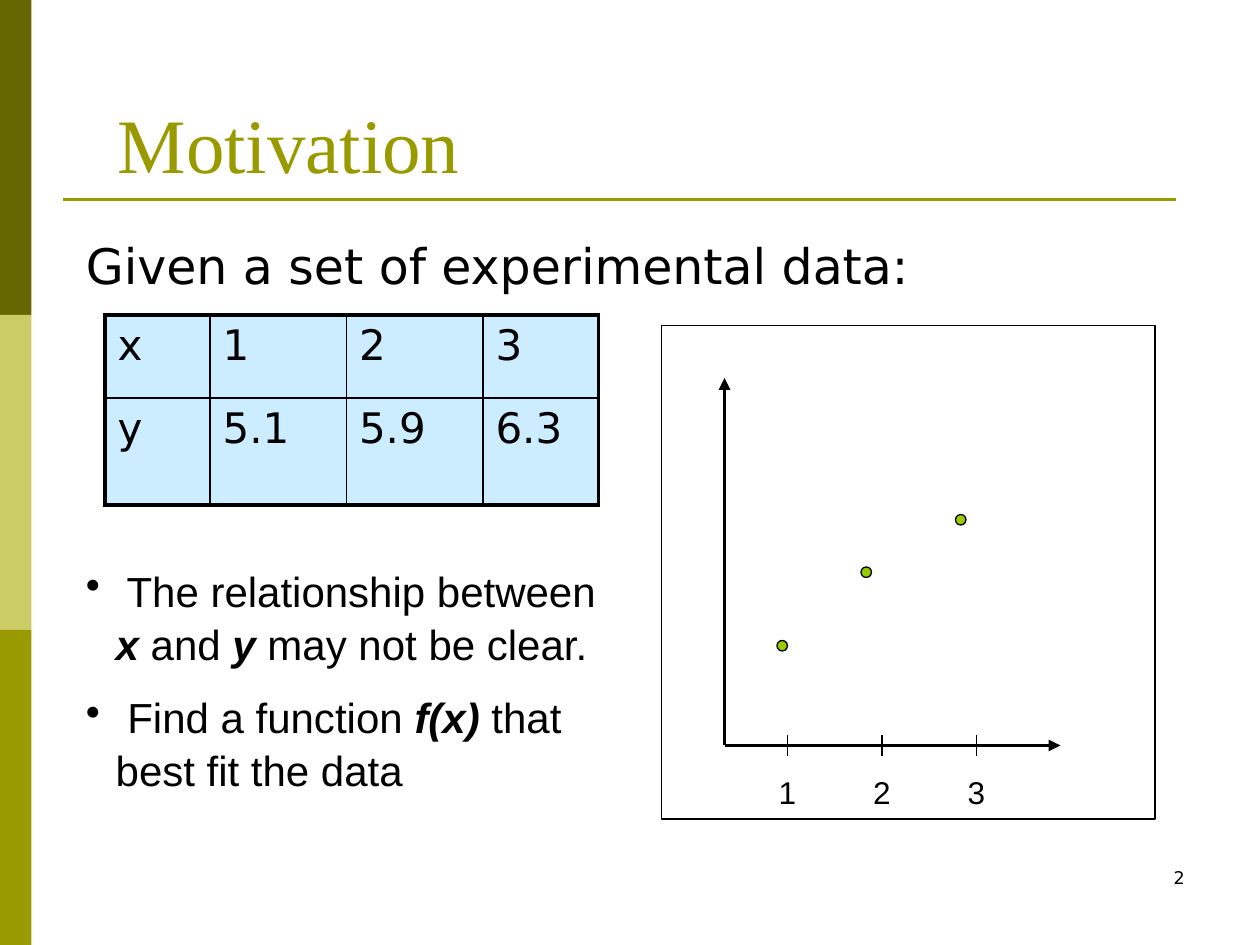
from dataclasses import dataclass

import pptx
import pptx.dml.color
import pptx.enum.shapes
import pptx.enum.text
import pptx.oxml
import pptx.oxml.ns
import pptx.util

Pt = pptx.util.Pt
ALIGN = pptx.enum.text.PP_ALIGN
ANCHOR = pptx.enum.text.MSO_ANCHOR
SHAPE = pptx.enum.shapes.MSO_SHAPE


@dataclass(frozen=True)
class Theme:
    ink: str = "000000"
    olive: str = "999900"
    dark_olive: str = "666600"
    pale_olive: str = "CCCC66"
    cell: str = "CCECFF"
    dot: str = "99CC00"
    title_font: str = "Times New Roman"
    body_font: str = "DejaVu Sans"
    note_font: str = "Arial"
    title_size: float = 44
    lead_size: float = 28
    text_size: float = 24
    label_size: float = 18
    number_size: float = 10
    thin: float = 0.75
    grid: float = 1
    rule: float = 1.5
    thick: float = 2.25


THEME = Theme()


def color(value):
    return pptx.dml.color.RGBColor.from_string(value)


def append_xml(parent, tag, **attributes):
    element = pptx.oxml.parse_xml(f"<a:{tag} {pptx.oxml.ns.nsdecls('a')}/>")
    for name, value in attributes.items():
        element.set(name, str(value))
    parent.append(element)
    return element


def format_paragraph(paragraph, font, size, ink=THEME.ink, align=ALIGN.LEFT):
    paragraph.font.name = font
    paragraph.font.size = Pt(size)
    paragraph.font.color.rgb = color(ink)
    paragraph.alignment = align


def add_text(slide, box, text, font, size, align=ALIGN.LEFT):
    shape = slide.shapes.add_textbox(*map(Pt, box))
    shape.text_frame.word_wrap = True
    paragraph = shape.text_frame.paragraphs[0]
    paragraph.text = text
    format_paragraph(paragraph, font, size, align=align)
    return shape


def add_box(slide, kind, box, fill=None, line=None):
    shape = slide.shapes.add_shape(kind, *map(Pt, box))
    shape.shadow.inherit = False
    if fill:
        shape.fill.solid()
        shape.fill.fore_color.rgb = color(fill)
    else:
        shape.fill.background()
    if line:
        shape.line.color.rgb = color(line)
        shape.line.width = Pt(THEME.thin)
    else:
        shape.line.fill.background()


def add_line(slide, start, end, width, ink=THEME.ink, arrow=False):
    connector = slide.shapes.add_connector(
        pptx.enum.shapes.MSO_CONNECTOR.STRAIGHT, *map(Pt, (*start, *end)))
    connector.line.color.rgb = color(ink)
    connector.line.width = Pt(width)
    if arrow:
        append_xml(connector.line._get_or_add_ln(), "tailEnd", type="triangle")
    append_xml(connector._element.spPr, "effectLst")


def add_sidebar(slide, box):
    left, top, width, height = box
    bands = (THEME.dark_olive, THEME.pale_olive, THEME.olive)
    band_height = height / len(bands)
    for index, fill in enumerate(bands):
        add_box(slide, SHAPE.RECTANGLE,
                (left, top + index * band_height, width, band_height), fill)


def set_title(slide, box, text):
    title = slide.shapes.title
    title.left, title.top, title.width, title.height = map(Pt, box)
    frame = title.text_frame
    frame.text = text
    frame.auto_size = pptx.enum.text.MSO_AUTO_SIZE.NONE
    frame.vertical_anchor = ANCHOR.BOTTOM
    format_paragraph(frame.paragraphs[0], THEME.title_font, THEME.title_size, THEME.olive)


def set_border(cell, side, width):
    line = append_xml(cell._tc.get_or_add_tcPr(), side, w=Pt(width))
    append_xml(append_xml(line, "solidFill"), "srgbClr", val=THEME.ink)


def add_data_table(slide, position, rows, column_widths, row_heights):
    size = (sum(column_widths), sum(row_heights))
    last_row, last_column = len(rows) - 1, len(column_widths) - 1
    table = slide.shapes.add_table(
        len(rows), len(column_widths), *map(Pt, (*position, *size))).table
    table.first_row = table.horz_banding = False
    for column, width in zip(table.columns, column_widths):
        column.width = Pt(width)
    for row, height in zip(table.rows, row_heights):
        row.height = Pt(height)
    for i, values in enumerate(rows):
        for j, value in enumerate(values):
            cell = table.cell(i, j)
            cell.text = value
            format_paragraph(cell.text_frame.paragraphs[0], THEME.body_font, THEME.text_size)
            outer = {"lnL": j == 0, "lnR": j == last_column,
                     "lnT": i == 0, "lnB": i == last_row}
            for side, is_outer in outer.items():
                set_border(cell, side, THEME.thick if is_outer else THEME.grid)
            cell.fill.solid()
            cell.fill.fore_color.rgb = color(THEME.cell)


def add_bullets(slide, box, items, indent=17):
    """Each item is a list of runs, of which every second one is bold italic."""
    frame = add_text(slide, box, "", THEME.note_font, THEME.text_size).text_frame
    for index, runs in enumerate(items):
        paragraph = frame.add_paragraph() if index else frame.paragraphs[0]
        format_paragraph(paragraph, THEME.note_font, THEME.text_size)
        paragraph.space_before = Pt(THEME.text_size / 2)
        paragraph.line_spacing = 1.05
        properties = paragraph._p.get_or_add_pPr()
        properties.set("marL", str(Pt(indent)))
        properties.set("indent", str(Pt(-indent)))
        bullet = append_xml(properties, "buChar", char="•")
        properties.remove(bullet)
        properties.insert_element_before(bullet, "a:tabLst", "a:defRPr", "a:extLst")
        for position, text in enumerate(runs):
            run = paragraph.add_run()
            run.text = text
            if position % 2:
                run.font.bold = run.font.italic = True


def add_scatter_sketch(slide, box, points):
    """Points are dot centres, measured right and up from the origin."""
    left, top, width, height = box
    add_box(slide, SHAPE.RECTANGLE, box, line=THEME.ink)
    x, y = left + 36, top + height - 42
    add_line(slide, (x, y), (x, top + 30), THEME.thick, arrow=True)
    add_line(slide, (x, y), (left + width - 54, y), THEME.thick, arrow=True)
    for index in range(3):
        tick = x + 36 + 54 * index
        add_line(slide, (tick, y - 6), (tick, y + 6), THEME.thin)
        add_text(slide, (tick - 18, y + 12, 36, 29), str(index + 1),
                 THEME.note_font, THEME.label_size, ALIGN.CENTER)
    radius = 3
    for right, up in points:
        add_box(slide, SHAPE.OVAL,
                (x + right - radius, y - up - radius, 2 * radius, 2 * radius),
                THEME.dot, THEME.ink)


def main():
    presentation = pptx.Presentation()
    presentation.slide_width, presentation.slide_height = Pt(720), Pt(540)
    slide = presentation.slides.add_slide(presentation.slide_layouts[5])
    add_sidebar(slide, (0, 0, 18, 540))
    add_line(slide, (36, 114), (672, 114), THEME.rule, THEME.olive)
    set_title(slide, (60, 21.6, 588, 90), "Motivation")
    add_text(slide, (42, 131, 595, 42), "Given a set of experimental data:",
             THEME.body_font, THEME.lead_size)
    add_data_table(slide, (60, 180),
                   [("x", "1", "2", "3"), ("y", "5.1", "5.9", "6.3")],
                   (60, 78, 78, 66), (47.5, 61))
    add_bullets(slide, (42, 318, 312, 138), [
        [" The relationship between ", "x", " and ", "y", " may not be clear."],
        [" Find a function ", "f(x)", " that best fit the data"],
    ])
    add_scatter_sketch(slide, (378, 186, 282, 282), [(33, 57), (81, 99), (135, 129)])
    add_text(slide, (516, 492, 168, 36), "2", THEME.body_font, THEME.number_size, ALIGN.RIGHT)
    presentation.save("out.pptx")


if __name__ == "__main__":
    main()
